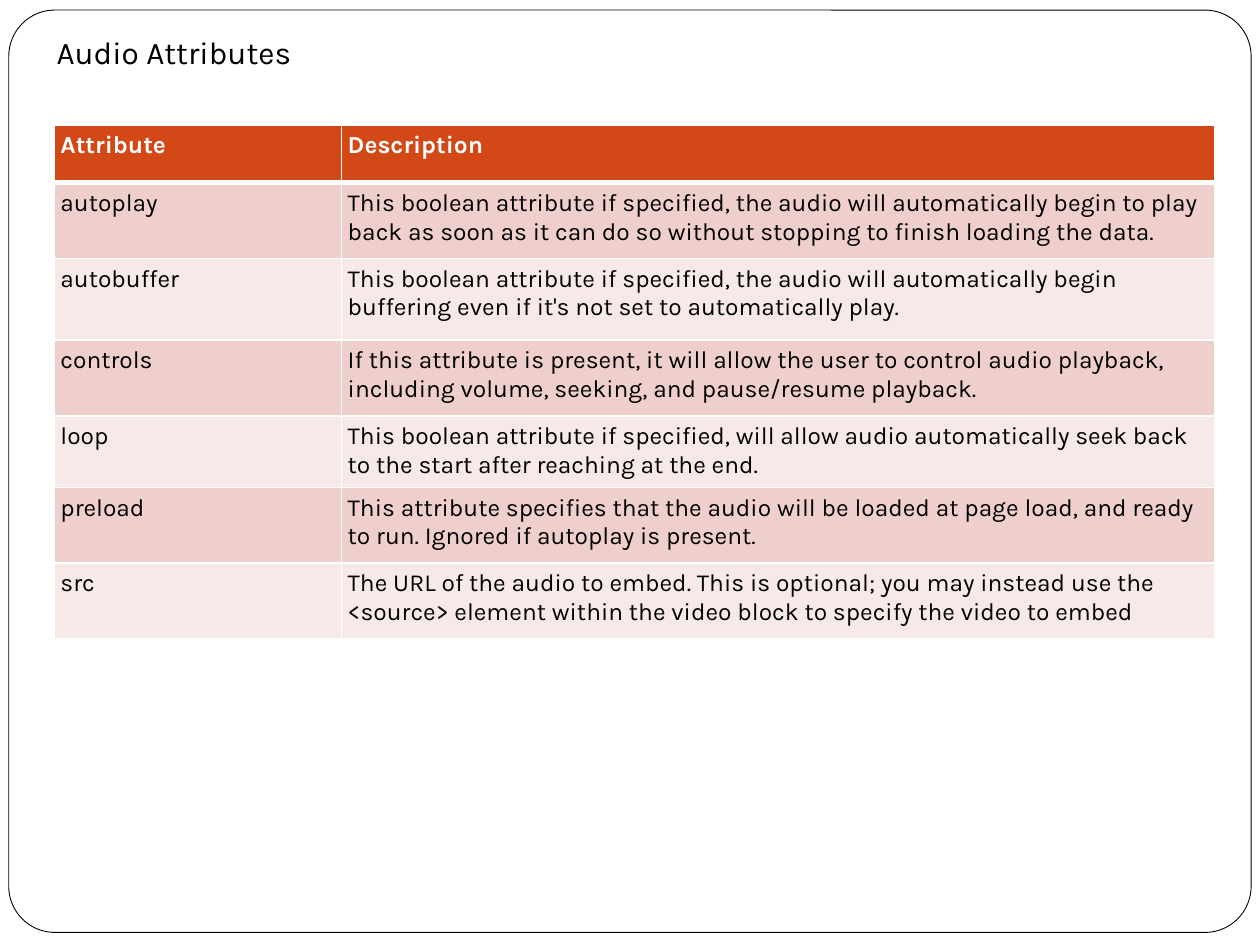
from lxml import etree
from pptx import Presentation
from pptx.dml.color import RGBColor
from pptx.enum.shapes import MSO_SHAPE
from pptx.oxml.ns import qn
from pptx.util import Inches, Pt

ROUND = MSO_SHAPE.ROUNDED_RECTANGLE
BLACK = RGBColor(0x00, 0x00, 0x00)
WHITE = RGBColor(0xFF, 0xFF, 0xFF)
RUST = RGBColor(0xD3, 0x48, 0x17)
ROSE = RGBColor(0xEF, 0xCF, 0xCC)
PALE = RGBColor(0xF7, 0xE9, 0xE8)
FONT = "Karla"
WIDE, HIGH = 10, 7.5

COLS = [2.28, 6.93]
ROWS = [
    (0.46, "Attribute", "Description"),
    (0.6, "autoplay", "This boolean attribute if specified, the audio will automatically "
     "begin to play back as soon as it can do so without stopping to finish loading the data."),
    (0.65, "autobuffer", "This boolean attribute if specified, the audio will automatically "
     "begin buffering even if it's not set to automatically play."),
    (0.6, "controls", "If this attribute is present, it will allow the user to control audio "
     "playback, including volume, seeking, and pause/resume playback."),
    (0.46, "loop", "This boolean attribute if specified, will allow audio automatically seek "
     "back to the start after reaching at the end."),
    (0.6, "preload", "This attribute specifies that the audio will be loaded at page load, "
     "and ready to run. Ignored if autoplay is present."),
    (0.6, "src", "The URL of the audio to embed. This is optional; you may instead use the "
     "<source> element within the video block to specify the video to embed"),
]


def to_emu(box):
    """Turn shares of the slide's size into lengths."""
    return [Inches(part * size) for part, size in zip(box, (WIDE, HIGH, WIDE, HIGH))]


def style(para, size, color, bold=False):
    font = para.font
    font.name, font.size, font.bold = FONT, Pt(size), bold
    font.color.rgb = color


def add_frame(slide, box):
    frame = slide.shapes.add_shape(ROUND, *to_emu(box))
    frame.adjustments[0] = 0.05
    frame.shadow.inherit = False
    frame.fill.solid()
    frame.fill.fore_color.rgb = WHITE
    frame.line.color.rgb = BLACK
    frame.line.width = Pt(0.5)


def add_title(slide, box, text):
    frame = slide.shapes.add_textbox(*to_emu(box)).text_frame
    frame.word_wrap = True
    para = frame.paragraphs[0]
    para.text = text
    para.space_before = Pt(5.8)
    style(para, 18, BLACK)


def add_edges(cell, top, low):
    """Draw white cell borders; they must precede the fill."""
    props = cell._tc.get_or_add_tcPr()
    for side, width in zip("LRTB", (1, 1, top, low)):
        line = etree.SubElement(props, qn(f"a:ln{side}"), w=str(Pt(width)))
        fill = etree.SubElement(line, qn("a:solidFill"))
        etree.SubElement(fill, qn("a:srgbClr"), val=str(WHITE))


def fill_cell(cell, text, row):
    head = row == 0
    add_edges(cell, 3 if row == 1 else 1, 3 if head else 1)
    cell.fill.solid()
    cell.fill.fore_color.rgb = RUST if head else (PALE, ROSE)[row % 2]
    cell.margin_left = cell.margin_right = Inches(0.05)
    cell.margin_top = cell.margin_bottom = Inches(0.05)
    cell.text = text
    style(cell.text_frame.paragraphs[0], 14, WHITE if head else BLACK, head)


def add_grid(slide, box):
    table = slide.shapes.add_table(len(ROWS), len(COLS), *to_emu(box)).table
    for col, width in zip(table.columns, COLS):
        col.width = Inches(width)
    for i, (height, *texts) in enumerate(ROWS):
        table.rows[i].height = Inches(height)
        for j, text in enumerate(texts):
            fill_cell(table.cell(i, j), text, i)


def main():
    deck = Presentation()
    deck.slide_width, deck.slide_height = Inches(WIDE), Inches(HIGH)
    slide = deck.slides.add_slide(deck.slide_layouts[6])
    add_frame(slide, (0.007, 0.08 / HIGH, 0.986, 7.32 / HIGH))
    add_title(slide, (0.035, 0.21 / HIGH, 0.945, 7.01 / HIGH), "Audio Attributes")
    add_grid(slide, (0.043, 0.99 / HIGH, 0.921, 4.1 / HIGH))
    deck.save("out.pptx")


if __name__ == "__main__":
    main()
